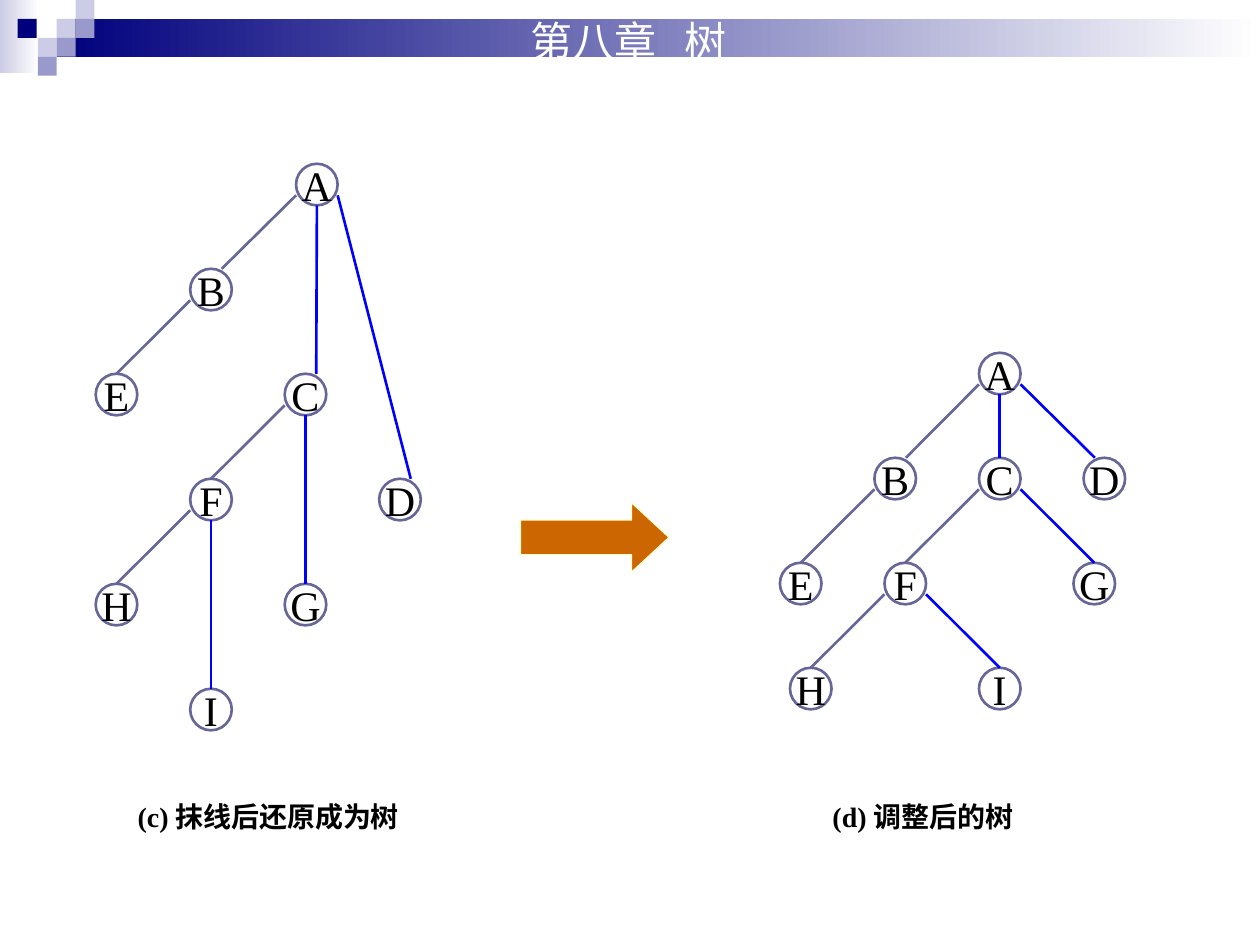
from dataclasses import dataclass

from lxml.etree import SubElement
from pptx import Presentation
from pptx.dml.color import RGBColor
from pptx.enum.shapes import MSO_CONNECTOR as Connector, MSO_SHAPE as Shape
from pptx.enum.text import MSO_ANCHOR as Anchor, MSO_AUTO_SIZE as AutoSize, PP_ALIGN as Align
from pptx.oxml.ns import qn
from pptx.util import Inches, Pt

LATIN = "Times New Roman"
CJK = "Noto Sans CJK SC"
DIAMETER = 0.33
ROW_PITCH = 5 / 6
MID = DIAMETER / 2
FAR = 0.25
NEAR = 0.09
TILE = 0.15
STARTS = {"left": (0, FAR), "bottom": (MID, DIAMETER), "right": (DIAMETER, FAR)}
EDGE_COLORS = {"left": "666699", "bottom": "0000FF", "right": "0000FF"}


@dataclass
class Node:
    name: str
    x: float
    row: int


@dataclass
class Edge:
    parent: str
    child: str
    side: str
    end: float = MID


@dataclass
class Tree:
    top: float
    nodes: list[Node]
    edges: list[Edge]


@dataclass
class Tile:
    x: float
    y: float
    color: str


@dataclass
class Caption:
    text: str
    x: float
    width: float


TILES = [
    Tile(0.45, 0.15, "CCCCE6"), Tile(0.6, 0, "CCCCE6"), Tile(0.6, 0.15, "9999CC"),
    Tile(0.3, 0.3, "CCCCE6"), Tile(0.14, 0.15, "00007D"), Tile(0.45, 0.3, "9999CC"),
    Tile(0.3, 0.45, "9999CC"),
]

RESTORED = Tree(
    1.3,
    [Node("A", 2.35, 0), Node("B", 1.51, 1), Node("D", 3.01, 3), Node("C", 2.26, 2),
     Node("F", 1.51, 3), Node("I", 1.51, 5), Node("H", 0.76, 4), Node("G", 2.26, 4),
     Node("E", 0.76, 2)],
    [Edge("A", "B", "left", FAR), Edge("B", "E", "left"), Edge("C", "F", "left"),
     Edge("F", "H", "left"), Edge("A", "C", "bottom", FAR), Edge("A", "D", "right", FAR),
     Edge("C", "G", "bottom"), Edge("F", "I", "bottom")],
)

ADJUSTED = Tree(
    2.8,
    [Node("A", 7.77, 0), Node("B", 6.94, 1), Node("D", 8.6, 1), Node("C", 7.77, 1),
     Node("F", 7.02, 2), Node("I", 7.77, 3), Node("H", 6.27, 3), Node("G", 8.52, 2),
     Node("E", 6.19, 2)],
    [Edge("A", "C", "bottom"), Edge("A", "B", "left", FAR), Edge("A", "D", "right", NEAR),
     Edge("B", "E", "left"), Edge("C", "F", "left"), Edge("C", "G", "right"),
     Edge("F", "H", "left"), Edge("F", "I", "right")],
)

CAPTIONS = [Caption("(c) 抹线后还原成为树", 0.92, 2.42), Caption("(d) 调整后的树", 6.41, 1.83)]


def rgb(color: str) -> RGBColor:
    return RGBColor.from_string(color)


def set_all(target, values: dict) -> None:
    for name, value in values.items():
        setattr(target, name, value)


def write(sp, text: str, frame: dict, font: dict, color: str, align: Align):
    tf = sp.text_frame
    set_all(tf, frame)
    p = tf.paragraphs[0]
    p.alignment = align
    r = p.add_run()
    r.text = text
    set_all(r.font, font)
    r.font.color.rgb = rgb(color)
    SubElement(r.font._element, qn("a:ea"), typeface=CJK)
    return p


def add_shape(s, kind: Shape, x: float, y: float, w: float, h: float):
    sp = s.shapes.add_shape(kind, Inches(x), Inches(y), Inches(w), Inches(h))
    sp.shadow.inherit = False
    sp.line.fill.background()
    return sp


def fill_solid(sp, color: str) -> None:
    sp.fill.solid()
    sp.fill.fore_color.rgb = rgb(color)


def outline(sp, color: str, width: float) -> None:
    sp.line.color.rgb = rgb(color)
    sp.line.width = Pt(width)


def add_fade(s, x: float, y: float, w: float, h: float, color: str) -> None:
    sp = add_shape(s, Shape.RECTANGLE, x, y, w, h)
    sp.fill.gradient()
    sp.fill.gradient_angle = 0
    for stop, position, shade in zip(sp.fill.gradient_stops, (0, 1), (color, "FFFFFF")):
        stop.position = position
        stop.color.rgb = rgb(shade)


def add_header(s) -> None:
    add_fade(s, 0, 0, 0.31, 0.58, "CCCCE6")
    add_fade(s, 0.45, 0.15, 9.55, 0.3, "00007D")
    for tile in TILES:
        fill_solid(add_shape(s, Shape.RECTANGLE, tile.x, tile.y, TILE, TILE), tile.color)
    title = s.shapes.title
    set_all(title, {"left": Inches(4.11), "top": Inches(0.07),
                    "width": Inches(2.42), "height": Inches(0.5)})
    frame = {"word_wrap": True, "auto_size": AutoSize.NONE, "vertical_anchor": Anchor.TOP}
    p = write(title, "第八章\t树", frame, {"size": Pt(24), "name": CJK}, "FFFFFF", Align.LEFT)
    tabs = SubElement(p._p.get_or_add_pPr(), qn("a:tabLst"))
    SubElement(tabs, qn("a:tab"), pos=str(Inches(1.22)), algn="l")
    s.shapes.element.append(title.element)


def add_tree(s, tree: Tree) -> None:
    places, circles = {}, {}
    for node in tree.nodes:
        y = tree.top + node.row * ROW_PITCH
        sp = add_shape(s, Shape.OVAL, node.x, y, DIAMETER, DIAMETER)
        fill_solid(sp, "FFFFFF")
        outline(sp, "666699", 1.5)
        write(sp, node.name, {"word_wrap": False, "vertical_anchor": Anchor.MIDDLE},
              {"size": Pt(24), "name": LATIN}, "000000", Align.CENTER)
        places[node.name] = node.x, y
        circles[node.name] = sp
    for edge in tree.edges:
        (px, py), (cx, cy) = places[edge.parent], places[edge.child]
        dx, dy = STARTS[edge.side]
        line = s.shapes.add_connector(Connector.STRAIGHT, Inches(px + dx), Inches(py + dy),
                                      Inches(cx + edge.end), Inches(cy))
        outline(line, EDGE_COLORS[edge.side], 1.5)
        SubElement(line._element.spPr, qn("a:effectLst"))
        if edge.end == MID:
            line.end_connect(circles[edge.child], 0)


def add_caption(s, caption: Caption) -> None:
    sp = s.shapes.add_textbox(Inches(caption.x), Inches(6.3), Inches(caption.width), Inches(0.37))
    write(sp, caption.text, {"word_wrap": True},
          {"size": Pt(16), "name": LATIN, "bold": True}, "000000", Align.CENTER)


def add_arrow(s) -> None:
    sp = add_shape(s, Shape.RIGHT_ARROW, 4.13, 3.99, 1.18, 0.55)
    sp.adjustments[0] = 0.5
    sp.adjustments[1] = 0.54
    fill_solid(sp, "CC6600")
    outline(sp, "FFFFCC", 0.75)


def main() -> None:
    prs = Presentation()
    set_all(prs, {"slide_width": Inches(10), "slide_height": Inches(7.5)})
    s = prs.slides.add_slide(prs.slide_layouts[5])
    add_header(s)
    for tree, caption in zip((RESTORED, ADJUSTED), CAPTIONS):
        add_caption(s, caption)
        add_tree(s, tree)
    add_arrow(s)
    prs.save("out.pptx")


if __name__ == "__main__":
    main()
